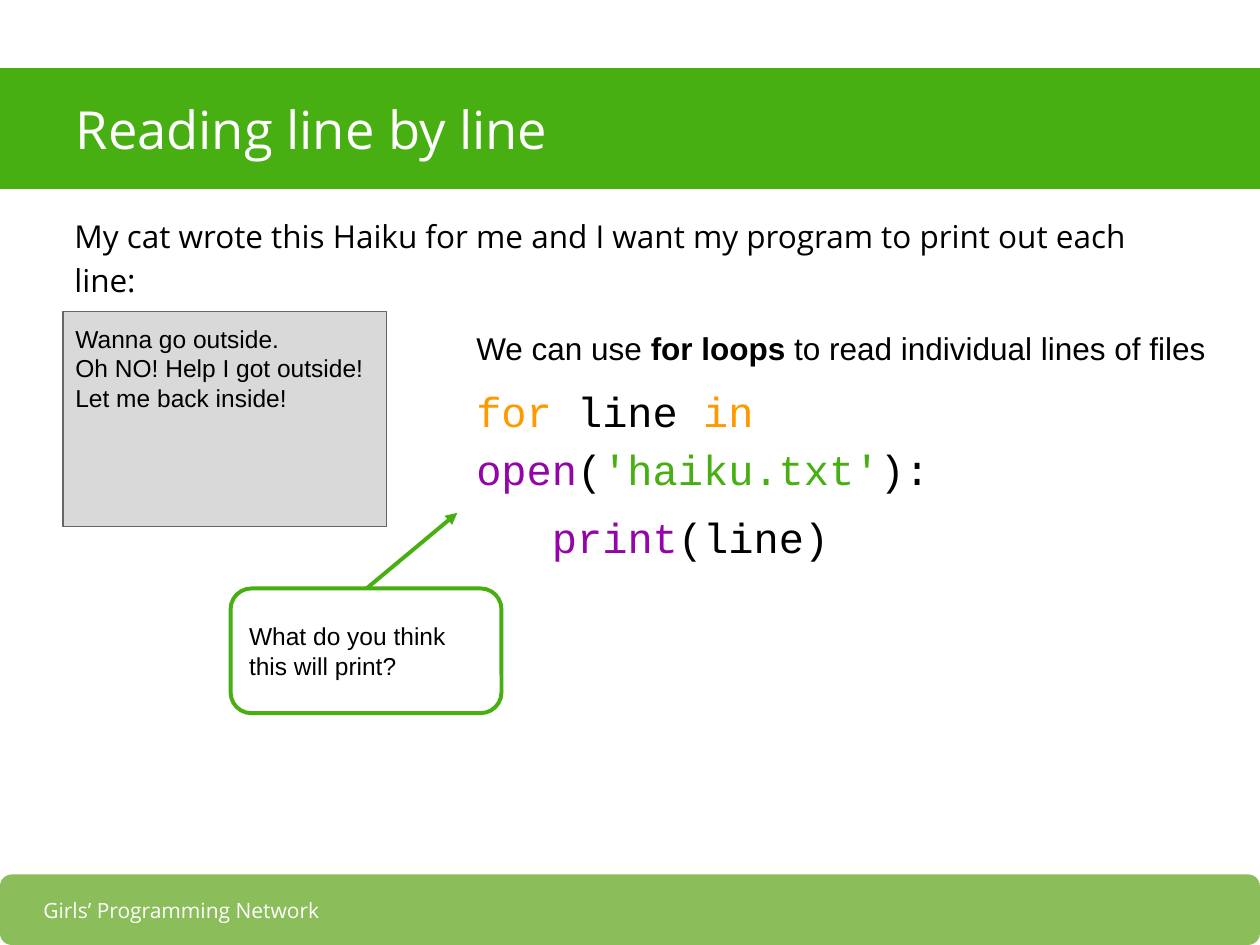
from dataclasses import dataclass

from lxml import etree
from pptx import Presentation
from pptx.dml.color import RGBColor
from pptx.enum.shapes import MSO_CONNECTOR, MSO_SHAPE
from pptx.enum.text import MSO_ANCHOR, MSO_AUTO_SIZE, PP_ALIGN
from pptx.oxml.ns import qn
from pptx.util import Inches, Pt

RECTANGLE = MSO_SHAPE.RECTANGLE
ROUNDED = MSO_SHAPE.ROUNDED_RECTANGLE
STRAIGHT = MSO_CONNECTOR.STRAIGHT
TOP = MSO_ANCHOR.TOP
MIDDLE = MSO_ANCHOR.MIDDLE
LEFT = PP_ALIGN.LEFT
CENTER = PP_ALIGN.CENTER
NO_FIT = MSO_AUTO_SIZE.NONE

WIDTH, HEIGHT = Inches(10), Inches(7.5)
COLUMNS, ROWS = 100, 75
TWO_CONTENT = 3


@dataclass(frozen=True)
class Theme:
    green: str = "47AF11"
    pale_green: str = "8BBD5B"
    white: str = "FFFFFF"
    black: str = "000000"
    grey: str = "D9D9D9"
    border: str = "666666"
    keyword: str = "FF9900"
    builtin: str = "9305A6"
    heading_font: str = "Open Sans"
    text_font: str = "Arial"
    code_font: str = "Courier New"
    title_size: int = 30
    code_size: int = 24
    body_size: int = 18
    note_size: int = 14
    footer_size: int = 12
    thin: float = 0.75
    thick: float = 2.25


THEME = Theme()
HEADING = (THEME.heading_font, THEME.title_size, THEME.white)
FOOTER = (THEME.heading_font, THEME.footer_size, THEME.white)
INTRO = (THEME.heading_font, THEME.body_size, THEME.black)
BODY = (THEME.text_font, THEME.body_size, THEME.black)
NOTE = (THEME.text_font, THEME.note_size, THEME.black)
CODE = (THEME.code_font, THEME.code_size, THEME.black)


def grid(column, row):
    return round(WIDTH * column / COLUMNS), round(HEIGHT * row / ROWS)


def place(shape, area):
    shape.left, shape.top = grid(*area[:2])
    shape.width, shape.height = grid(*area[2:])


def write(frame, paragraphs, anchor=TOP, align=LEFT, body=False):
    frame.word_wrap = True
    frame.auto_size = NO_FIT
    frame.vertical_anchor = anchor
    frame.margin_left = frame.margin_right = Inches(0.1)
    frame.margin_top = frame.margin_bottom = Inches(0.1)
    for index, (style, spans) in enumerate(paragraphs):
        para = frame.paragraphs[0] if index == 0 else frame.add_paragraph()
        para.alignment = align
        para.space_before = Pt(6 if body and index else 0)
        if body:
            para.line_spacing = 1.15
            properties = para._p.get_or_add_pPr()
            properties.set("marL", "0")
            properties.set("indent", "0")
            etree.SubElement(properties, qn("a:buNone"))
        name, size, color = style
        para.font.name = name
        para.font.size = Pt(size)
        para.font.color.rgb = RGBColor.from_string(color)
        for text, span_color, bold in spans:
            span = para.add_run()
            span.text = text
            if span_color:
                span.font.color.rgb = RGBColor.from_string(span_color)
            if bold:
                span.font.bold = True


def plain(text):
    return [(text, None, False)]


def add_panel(page, kind, area, fill, line=None, line_width=0):
    panel = page.shapes.add_shape(kind, *grid(*area[:2]), *grid(*area[2:]))
    panel.shadow.inherit = False
    panel.fill.solid()
    panel.fill.fore_color.rgb = RGBColor.from_string(fill)
    if line:
        panel.line.color.rgb = RGBColor.from_string(line)
        panel.line.width = Pt(line_width)
    else:
        panel.line.fill.background()
    return panel


def add_backdrop(page):
    band = add_panel(page, RECTANGLE, (-0.7, 5.4, 101.2, 9.6), THEME.green)
    footer = add_panel(page, ROUNDED, (0, 69.4, 100, 5.6), THEME.pale_green)
    label = page.shapes.add_textbox(*grid(0, 70.3), *grid(28.8, 3.8))
    write(label.text_frame, [(FOOTER, plain("Girls’ Programming Network"))], MIDDLE, CENTER)
    for part in (band, label, footer):
        page.shapes.element.insert(2, part.element)


def add_arrow(page, start, end):
    arrow = page.shapes.add_connector(STRAIGHT, *grid(*start), *grid(*end))
    arrow.line.color.rgb = RGBColor.from_string(THEME.green)
    arrow.line.width = Pt(THEME.thick)
    etree.SubElement(arrow.line._get_or_add_ln(), qn("a:tailEnd"), type="triangle")
    etree.SubElement(arrow.element.spPr, qn("a:effectLst"))


def main():
    deck = Presentation()
    deck.slide_width, deck.slide_height = WIDTH, HEIGHT
    page = deck.slides.add_slide(deck.slide_layouts[TWO_CONTENT])
    title, intro, lesson = page.placeholders
    add_backdrop(page)

    place(title, (5, 5.4, 90, 9.6))
    write(title.text_frame, [(HEADING, plain("Reading line by line"))], MIDDLE)

    place(intro, (4.9, 15.8, 90, 52.7))
    request = "My cat wrote this Haiku for me and I want my program to print out each line:"
    write(intro.text_frame, [(INTRO, plain(request))], body=True)

    place(lesson, (36.8, 24.7, 60.9, 53))
    write(lesson.text_frame, [
        (BODY, [
            ("We can use ", None, False),
            ("for loops", None, True),
            (" to read individual lines of files", None, False),
        ]),
        (CODE, [
            ("for", THEME.keyword, False),
            (" line ", None, False),
            ("in ", THEME.keyword, False),
            ("open", THEME.builtin, False),
            ("(", None, False),
            ("'haiku.txt'", THEME.green, False),
            ("):", None, False),
        ]),
        (CODE, [
            ("   print", THEME.builtin, False),
            ("(line)", None, False),
        ]),
    ], body=True)

    haiku = add_panel(page, RECTANGLE, (5, 24.7, 25.7, 17.1), THEME.grey, THEME.border, THEME.thin)
    verses = ("Wanna go outside.", "Oh NO! Help I got outside!", "Let me back inside!")
    write(haiku.text_frame, [(NOTE, plain(verse)) for verse in verses])

    question = add_panel(page, ROUNDED, (18.3, 46.7, 21.5, 9.9), THEME.white, THEME.green, THEME.thick)
    write(question.text_frame, [(NOTE, plain("What do you think this will print?"))], MIDDLE)
    add_arrow(page, (29.1, 46.7), (36.3, 40.7))

    deck.save("out.pptx")


if __name__ == "__main__":
    main()
